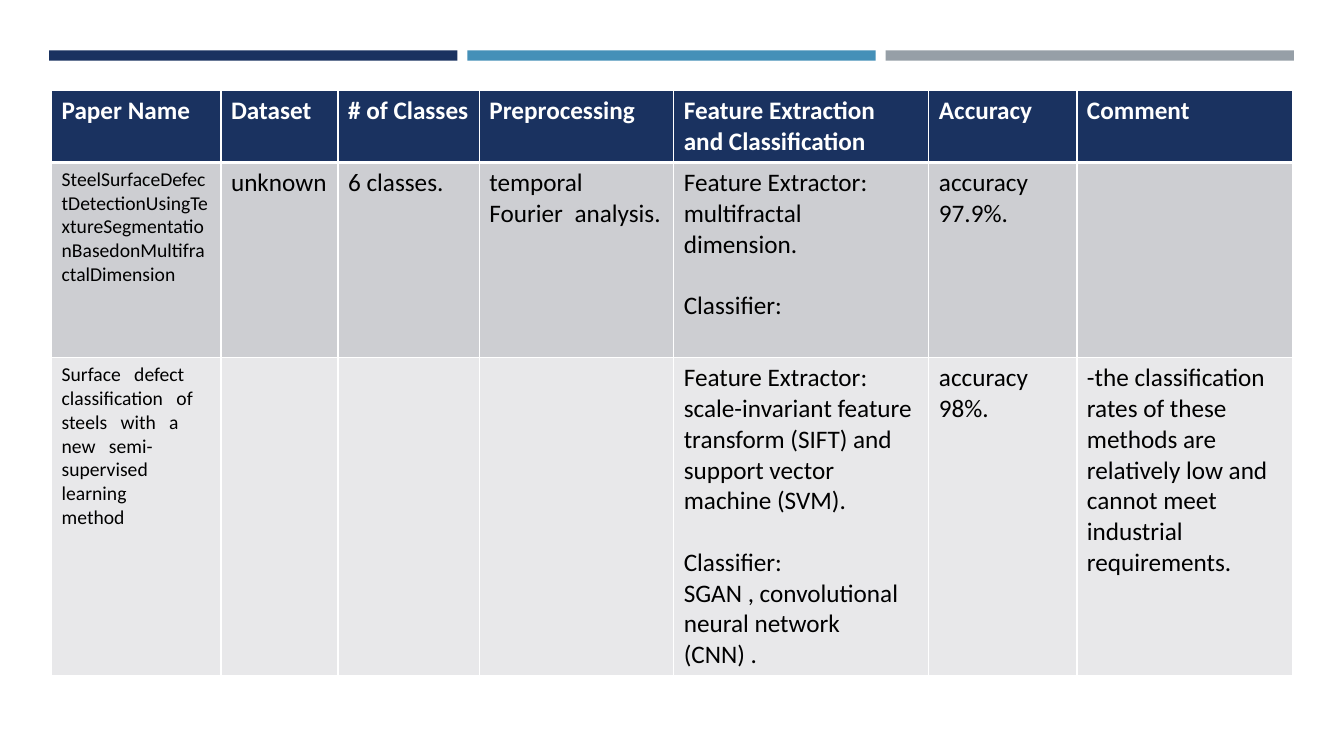
from lxml import etree
from pptx import Presentation
from pptx.dml.color import RGBColor
from pptx.enum import shapes
from pptx.oxml import ns
from pptx.util import Cm, Pt

NAVY = RGBColor(0x1A, 0x32, 0x60)
BLUE = RGBColor(0x45, 0x90, 0xB8)
GREY = RGBColor(0x96, 0x9F, 0xA7)
BAND_DARK = RGBColor(0xCD, 0xCE, 0xD2)
BAND_LIGHT = RGBColor(0xE8, 0xE8, 0xEA)
WHITE = RGBColor(0xFF, 0xFF, 0xFF)
BLACK = RGBColor(0, 0, 0)

FONT = "Calibri"
COL_WIDTHS = [4.27, 2.95, 3.56, 4.9, 6.43, 3.73, 5.44]
ROW_HEIGHTS = [1.78, 4.92, 7.98]
ROW_FILLS = [NAVY, BAND_DARK, BAND_LIGHT]
WORD_GAPS = {(1, 3): 4.1, (2, 0): 6.3}

ROWS = [
    [["Paper Name"], ["Dataset"], ["# of Classes"], ["Preprocessing"],
     ["Feature Extraction and Classification"], ["Accuracy"], ["Comment"]],
    [["SteelSurfaceDefectDetectionUsingTextureSegmentationBasedonMultifractalDimension"],
     ["unknown"], ["6 classes."], ["temporal", "Fourier analysis."],
     ["Feature Extractor:", "multifractal dimension.", "Classifier:"],
     ["accuracy", "97.9%."], []],
    [["Surface defect classification of steels with a new semi-supervised learning",
      "method"], [], [], [],
     ["Feature Extractor:",
      "scale-invariant feature transform (SIFT) and support vector machine (SVM).",
      "Classifier:", "SGAN , convolutional neural network (CNN) ."],
     ["accuracy", "98%."],
     ["-the classification rates of these methods are relatively low and "
      "cannot meet industrial requirements."]],
]


def add_bar(s, left, color):
    sp = s.shapes.add_shape(shapes.MSO_SHAPE.RECTANGLE,
                            Cm(left), Cm(1.27), Cm(10.29), Cm(0.26))
    sp.shadow.inherit = False
    sp.fill.solid()
    sp.fill.fore_color.rgb = color
    sp.line.fill.background()


def add_run(p, content, size, header):
    r = p.add_run()
    r.text = content
    r.font.name = FONT
    r.font.size = Pt(size)
    r.font.bold = header
    r.font.color.rgb = WHITE if header else BLACK
    return r


def add_line(p, content, size, header, gap):
    if not gap:
        add_run(p, content, size, header)
        return
    for i, word in enumerate(content.split()):
        if i:
            space = add_run(p, " ", size, header)
            space._r.get_or_add_rPr().set("spc", str(round(gap * 100)))
        add_run(p, word, size, header)


def set_borders(cell, top, bottom):
    tcPr = cell._tc.get_or_add_tcPr()
    sides = [("lnL", 1), ("lnR", 1), ("lnT", top), ("lnB", bottom)]
    for i, (side, width) in enumerate(sides):
        ln = etree.Element(ns.qn(f"a:{side}"), w=str(Pt(width)))
        fill = etree.SubElement(ln, ns.qn("a:solidFill"))
        etree.SubElement(fill, ns.qn("a:srgbClr"), val=str(WHITE))
        tcPr.insert(i, ln)


def fill_cell(cell, lines, row, col):
    header = row == 0
    size = 14 if col == 0 and not header else 18
    cell.fill.solid()
    cell.fill.fore_color.rgb = ROW_FILLS[row]
    set_borders(cell, 3 if row == 1 else 1, 3 if header else 1)
    tf = cell.text_frame
    for i, content in enumerate(lines):
        p = tf.add_paragraph() if i else tf.paragraphs[0]
        if content == "Classifier:":
            p.space_before = Pt(22)
        add_line(p, content, size, header, WORD_GAPS.get((row, col)))


def add_papers_table(s):
    table = s.shapes.add_table(len(ROWS), len(COL_WIDTHS), Cm(1.3), Cm(2.29),
                               Cm(sum(COL_WIDTHS)), Cm(sum(ROW_HEIGHTS))).table
    for column, width in zip(table.columns, COL_WIDTHS):
        column.width = Cm(width)
    for row, height in enumerate(ROW_HEIGHTS):
        table.rows[row].height = Cm(height)
        for col, lines in enumerate(ROWS[row]):
            fill_cell(table.cell(row, col), lines, row, col)


def main():
    prs = Presentation()
    prs.slide_width, prs.slide_height = Cm(33.87), Cm(19.05)
    s = prs.slides.add_slide(prs.slide_layouts[6])
    for i, color in enumerate([NAVY, BLUE, GREY]):
        add_bar(s, 1.24 + i * 10.54, color)
    add_papers_table(s)
    prs.save("out.pptx")


if __name__ == "__main__":
    main()
